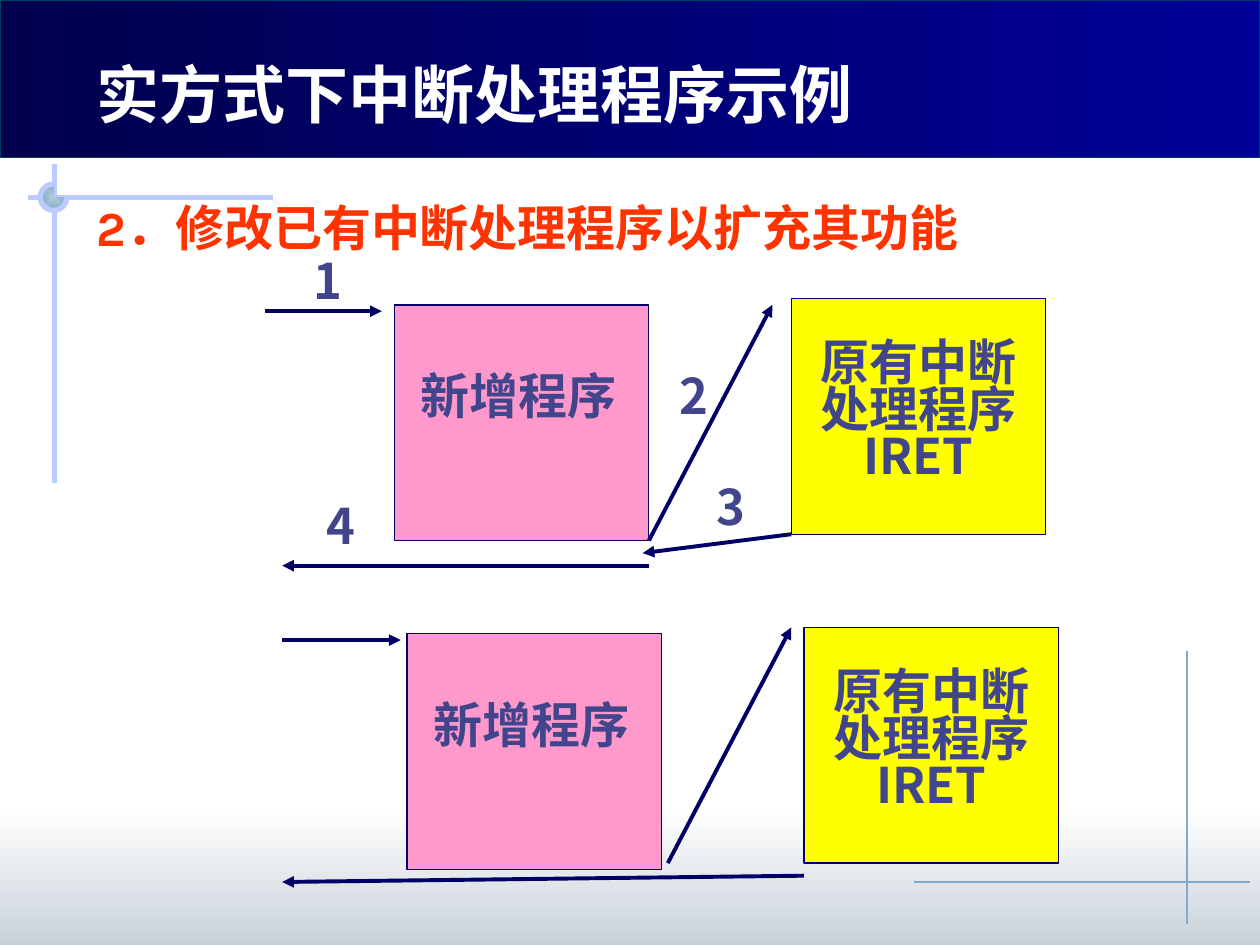
from lxml.etree import SubElement
from pptx import Presentation
from pptx.dml.color import RGBColor
from pptx.enum.shapes import MSO_CONNECTOR, MSO_SHAPE
from pptx.enum.text import PP_ALIGN
from pptx.oxml.ns import qn
from pptx.util import Inches, Pt

COLORS = {
    "white": "FFFFFF", "mist": "C8D1DA", "pale": "B6CBD6", "steel": "81ABCB",
    "lavender": "BBCBFD", "night": "00004D", "royal": "000099", "edge": "003D62",
    "navy": "000066", "yellow": "FFFF00", "pink": "FF99CC", "label": "40458C",
    "red": "FF3300",
}
CJK_FONT = "Noto Sans CJK SC"


def rgb(name):
    """Return the named colour."""
    return RGBColor.from_string(COLORS[name])


def add_block(slide, kind, box, fill=None, line=None, width=0.75, angle=0):
    """Add a preset shape; a pair of fill names makes a gradient."""
    block = slide.shapes.add_shape(kind, *map(Inches, box))
    block.shadow.inherit = False
    if fill is None:
        block.fill.background()
    elif isinstance(fill, tuple):
        block.fill.gradient()
        block.fill.gradient_angle = angle
        for stop, name, position in zip(block.fill.gradient_stops, fill, (0, 1)):
            stop.color.rgb = rgb(name)
            stop.position = position
    else:
        block.fill.solid()
        block.fill.fore_color.rgb = rgb(fill)
    if line:
        block.line.color.rgb = rgb(line)
        block.line.width = Pt(width)
    else:
        block.line.fill.background()
    return block


def add_line(slide, start, end, color="navy", width=2.25, arrow=True):
    """Add a straight line, with an arrowhead at its end if wanted."""
    line = slide.shapes.add_connector(
        MSO_CONNECTOR.STRAIGHT, *map(Inches, (*start, *end)))
    line.line.color.rgb = rgb(color)
    line.line.width = Pt(width)
    if arrow:
        SubElement(line.line._get_or_add_ln(), qn("a:tailEnd"), type="triangle")
    SubElement(line._element.spPr, qn("a:effectLst"))


def add_text(slide, text, box, size=28, color="label", font=CJK_FONT, inset=0,
             spacing=0.8, align=PP_ALIGN.LEFT, wrap=False, hanging=0):
    """Add bold text, one paragraph for each line of the string."""
    frame = slide.shapes.add_textbox(*map(Inches, box)).text_frame
    frame.word_wrap = wrap
    frame.margin_left = frame.margin_right = Inches(inset)
    frame.margin_top = frame.margin_bottom = Inches(0.05)
    frame.text = text
    for paragraph in frame.paragraphs:
        paragraph.alignment = align
        paragraph.line_spacing = spacing
        if hanging:
            properties = paragraph._p.get_or_add_pPr()
            properties.set("marL", str(Inches(hanging)))
            properties.set("indent", str(-Inches(hanging)))
        for run in paragraph.runs:
            run.font.size = Pt(size)
            run.font.bold = True
            run.font.name = font
            run.font.color.rgb = rgb(color)
            SubElement(run._r.get_or_add_rPr(), qn("a:ea"), typeface=CJK_FONT)


def add_ornament(slide):
    """Draw the crossed lines and the open ring at the upper left."""
    add_line(slide, (2.17, 1.57), (0.22, 1.57), "lavender", 3, arrow=False)
    add_line(slide, (0.43, 1.3), (0.43, 3.83), "lavender", 3, arrow=False)
    ring = (0.32, 1.46, 0.21, 0.21)
    hub = add_block(slide, MSO_SHAPE.PIE, ring, ("pale", "steel"))
    gradient = hub._element.spPr.find(qn("a:gradFill"))
    gradient.remove(gradient.find(qn("a:lin")))
    radial = SubElement(gradient, qn("a:path"), path="shape")
    SubElement(radial, qn("a:fillToRect"),
               {side: "50000" for side in "ltrb"})
    rim = add_block(slide, MSO_SHAPE.ARC, ring, line="lavender", width=3)
    rim.adjustments[0] = 0
    rim.adjustments[1] = 162


def add_backdrop(slide):
    """Draw the banner, the bottom shade and the decorative lines."""
    add_block(slide, MSO_SHAPE.RECTANGLE, (0, 6.42, 10, 1.08),
              ("white", "mist"), angle=270)
    add_line(slide, (9.42, 5.17), (9.42, 7.33), "steel", 0.75, arrow=False)
    add_ornament(slide)
    add_block(slide, MSO_SHAPE.RECTANGLE, (0, 0, 10, 1.25),
              ("night", "royal"), "edge")
    add_line(slide, (7.25, 7), (9.92, 7), "steel", 0.75, arrow=False)


def add_programs(slide, dx=0, dy=0):
    """Draw the new program beside the existing handler."""
    add_block(slide, MSO_SHAPE.RECTANGLE, (6.28 + dx, 2.37 + dy, 2.02, 1.87),
              "yellow", "navy")
    add_block(slide, MSO_SHAPE.RECTANGLE, (3.13 + dx, 2.42 + dy, 2.02, 1.87),
              "pink", "navy")
    add_text(slide, "新增程序", (3.34 + dx, 2.94 + dy, 1.56, 0.47))
    add_text(slide, "原有中断\n处理程序\nIRET", (6.38 + dx, 2.67 + dy, 1.82, 1.41),
             align=PP_ALIGN.CENTER, wrap=True)


def main():
    """Build the slide and save it."""
    deck = Presentation()
    deck.slide_width, deck.slide_height = Inches(10), Inches(7.5)
    slide = deck.slides.add_slide(deck.slide_layouts[6])
    add_backdrop(slide)
    add_text(slide, "2．修改已有中断处理程序以扩充其功能", (0.67, 1.51, 7.06, 0.57),
             color="red", font="Karla", inset=0.1, spacing=Pt(34), wrap=True,
             hanging=0.38)
    add_programs(slide)
    add_programs(slide, 0.1, 2.61)
    arrows = [
        ((2.24, 5.08), (3.18, 5.08)),
        ((5.3, 6.85), (6.28, 4.98)),
        ((6.38, 6.95), (2.24, 7)),
        ((2.1, 2.47), (3.03, 2.47)),
        ((5.15, 4.29), (6.13, 2.42)),
        ((6.28, 4.24), (5.1, 4.39)),
        ((5.15, 4.49), (2.24, 4.49)),
    ]
    for start, end in arrows:
        add_line(slide, start, end)
    steps = [(2.49, 2.03), (5.39, 2.94), (5.69, 3.82), (2.59, 3.97)]
    for number, corner in enumerate(steps, 1):
        add_text(slide, str(number), (*corner, 0.2, 0.47))
    add_text(slide, "实方式下中断处理程序示例", (0.67, 0.34, 6.26, 0.71), size=36,
             color="white", font="Times New Roman", inset=0.1, spacing=Pt(47))
    deck.save("out.pptx")


if __name__ == "__main__":
    main()
